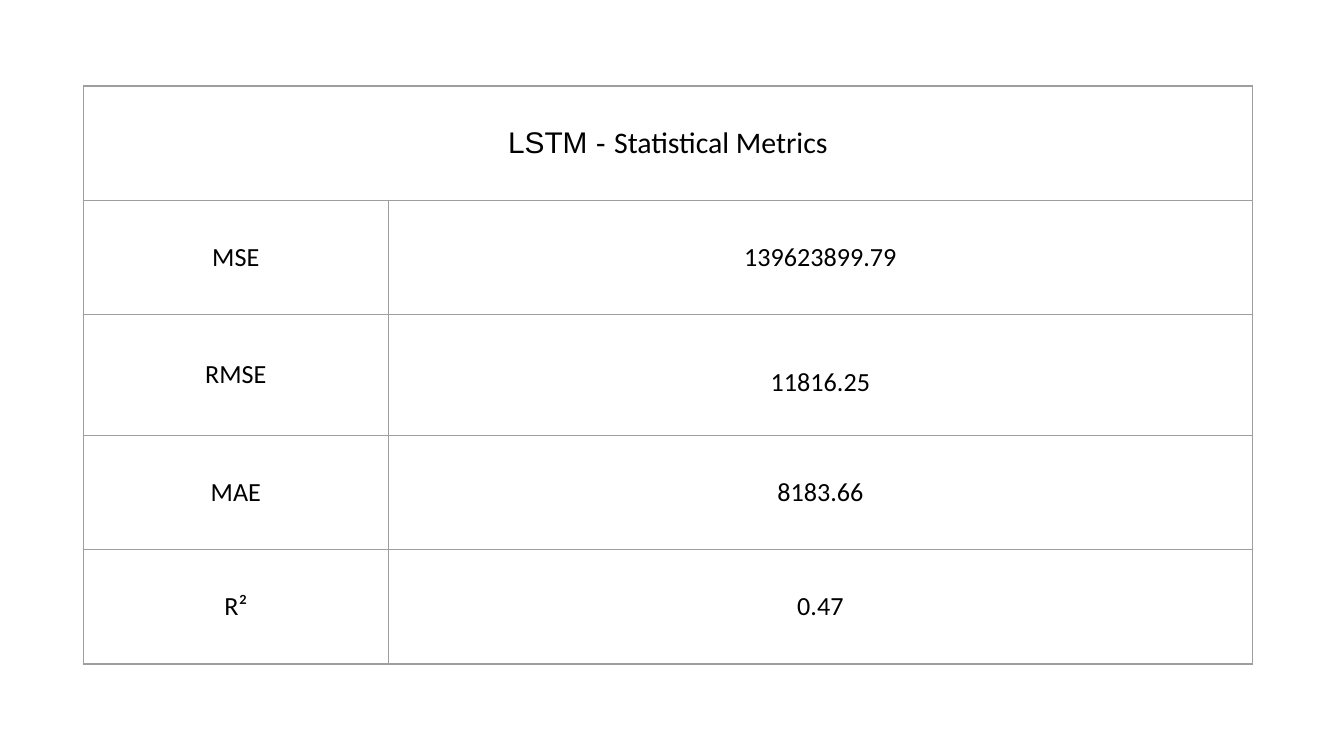
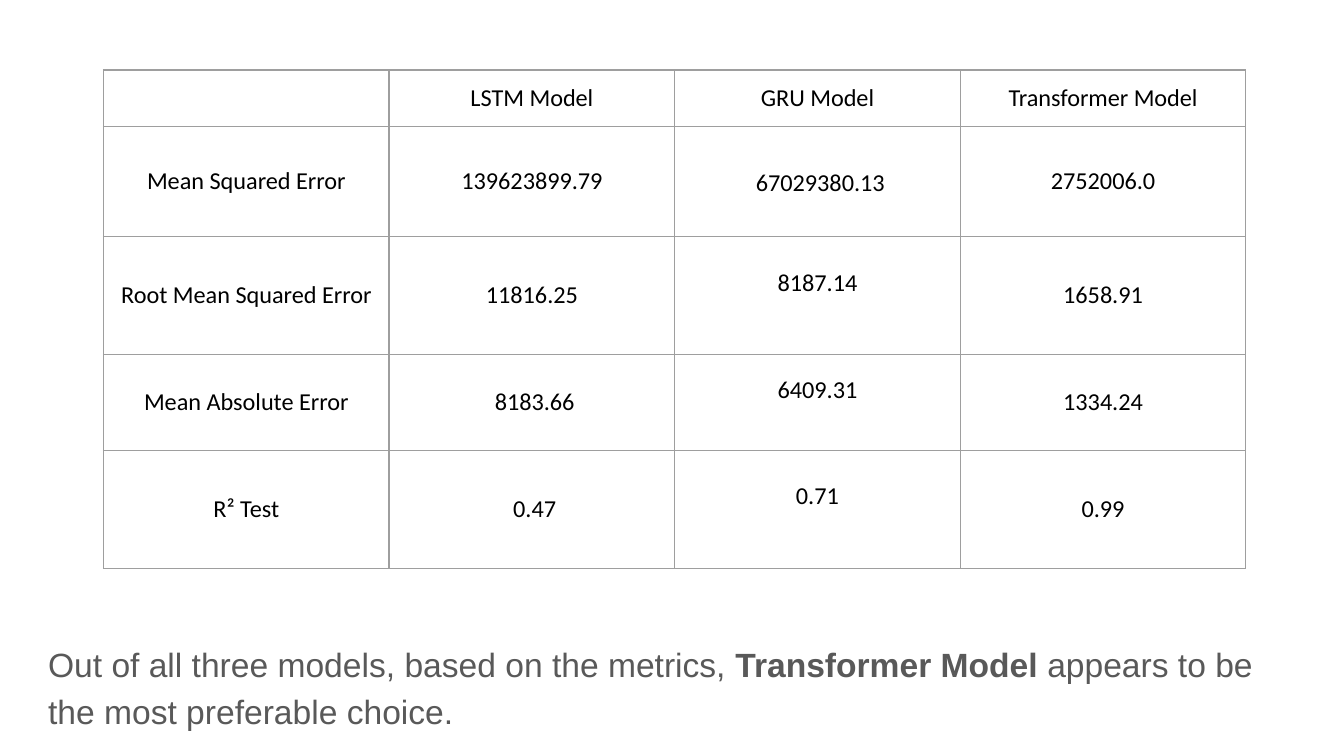
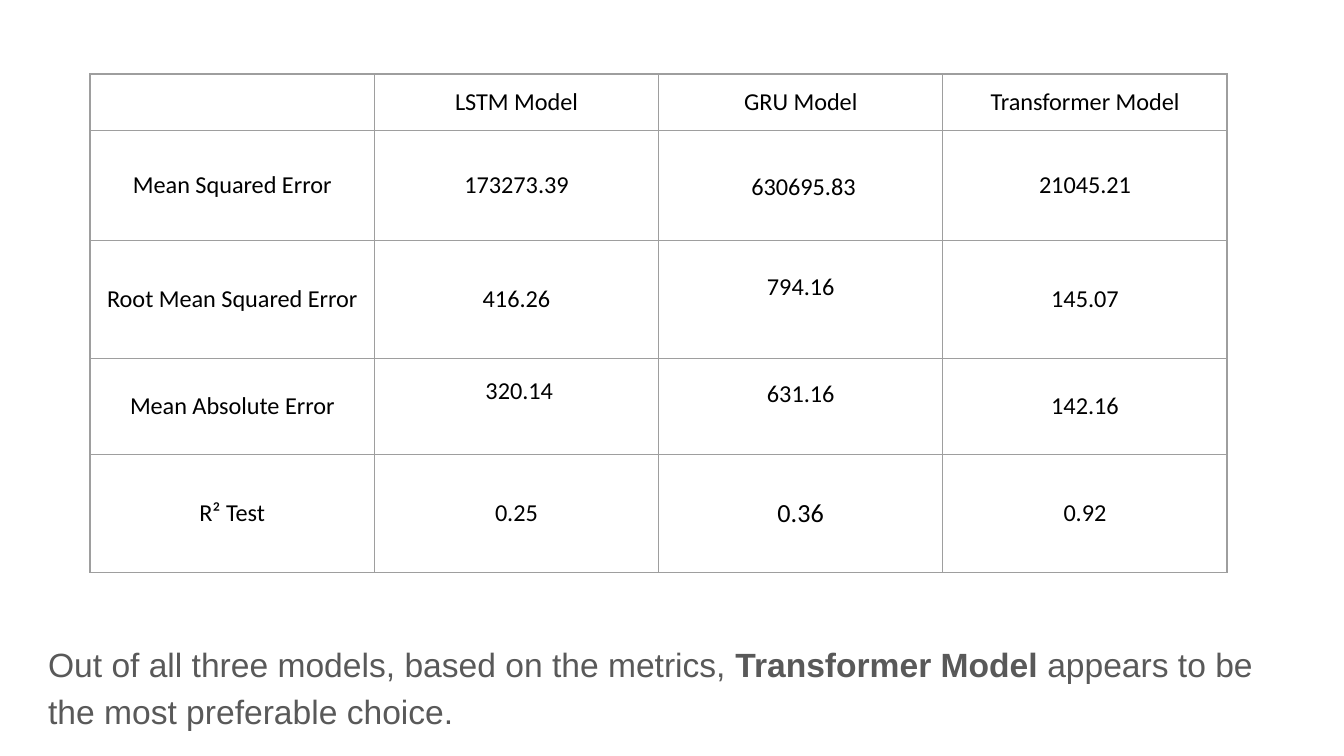
import pptx
import pptx.dml.color
import pptx.enum.text
import pptx.oxml
import pptx.oxml.ns
import pptx.util

Inches = pptx.util.Inches
Pt = pptx.util.Pt
RGBColor = pptx.dml.color.RGBColor

BLACK = RGBColor(0x00, 0x00, 0x00)
GREY = RGBColor(0x59, 0x59, 0x59)
WHITE = RGBColor(0xFF, 0xFF, 0xFF)
RULE = RGBColor(0x9E, 0x9E, 0x9E)

PAD = 0.1
LIFT = 0.32  # bottom inset that raises a value above the middle

METRICS = [
    ("LSTM - Statistical Metrics", ""),
    ("MSE", "139623899.79"),
    ("RMSE", "11816.25"),
    ("MAE", "8183.66"),
    ("R²", "0.47"),
]
HEAD = ("", "LSTM Model", "GRU Model", "Transformer Model")
FIRST = [
    HEAD,
    ("Mean Squared Error", "139623899.79", " 67029380.13", "2752006.0"),
    ("Root Mean Squared Error", "11816.25", "8187.14", "1658.91"),
    ("Mean Absolute Error", " 8183.66", "6409.31", "1334.24"),
    ("R² Test", " 0.47", "0.71", "0.99"),
]
SECOND = [
    HEAD,
    ("Mean Squared Error", "173273.39", " 630695.83", "21045.21"),
    ("Root Mean Squared Error", "416.26", "794.16", "145.07"),
    ("Mean Absolute Error", " 320.14", "631.16", "142.16"),
    ("R² Test", "0.25", "0.36", "0.92"),
]
CLOSING = [
    ("Out of all three models, based on the metrics, ", False),
    ("Transformer Model ", True),
    ("appears to be the most preferable choice.", False),
]


def style(run, size, color, font):
    run.font.size = Pt(size)
    run.font.color.rgb = color
    run.font.name = font


def inset(frame, size):
    """Give a cell or a text frame the same margin on all sides."""
    frame.margin_left = frame.margin_right = Inches(size)
    frame.margin_top = frame.margin_bottom = Inches(size)


def border(cell):
    """Draw the four cell edges; they must precede the fill in the XML."""
    props = cell._tc.get_or_add_tcPr()
    for place, tag in enumerate(("lnL", "lnR", "lnT", "lnB")):
        props.insert(place, pptx.oxml.parse_xml(
            f'<a:{tag} {pptx.oxml.ns.nsdecls("a")} w="{Pt(0.75)}">'
            f'<a:solidFill><a:srgbClr val="{RULE}"/></a:solidFill></a:{tag}>'))


def write(cell, text, size):
    inset(cell, PAD)
    cell.vertical_anchor = pptx.enum.text.MSO_ANCHOR.MIDDLE
    cell.text = text
    line = cell.text_frame.paragraphs[0]
    line.alignment = pptx.enum.text.PP_ALIGN.CENTER
    for run in line.runs:
        style(run, size, BLACK, "Calibri")
    return line


def add_grid(slide, left, top, widths, heights, rows, size):
    frame = slide.shapes.add_table(
        len(heights), len(widths), Inches(left), Inches(top),
        Inches(sum(widths)), Inches(sum(heights)))
    table = frame.table
    table.first_row = table.horz_banding = False
    for column, width in zip(table.columns, widths):
        column.width = Inches(width)
    for row, height, texts in zip(table.rows, heights, rows):
        row.height = Inches(height)
        for cell, text in zip(row.cells, texts):
            cell.fill.background()
            border(cell)
            if text:
                write(cell, text, size)
    return table


def add_closing(slide, left, top, width, height):
    box = slide.shapes.add_textbox(
        Inches(left), Inches(top), Inches(width), Inches(height))
    frame = box.text_frame
    frame.word_wrap = True
    inset(frame, PAD)
    line = frame.paragraphs[0]
    line.line_spacing = 1.15
    line.space_after = Pt(12)
    for text, bold in CLOSING:
        run = line.add_run()
        run.text = text
        run.font.bold = bold
        style(run, 18, GREY, "Arial")


def add_page(deck):
    slide = deck.slides.add_slide(deck.slide_layouts[6])
    slide.background.fill.solid()
    slide.background.fill.fore_color.rgb = WHITE
    return slide


def build_single(deck):
    """One model: a merged heading above its metrics."""
    table = add_grid(add_page(deck), 0.62, 0.64, [2.27, 6.43],
                     [0.85, 0.85, 0.9, 0.85, 0.85], METRICS, 14)
    title = table.cell(0, 0)
    title.merge(table.cell(0, 1))
    line = write(title, "LSTM - ", 16)
    line.runs[0].font.name = "Arial"
    run = line.add_run()
    run.text = "Statistical Metrics"
    style(run, 16, BLACK, "Calibri")
    table.cell(2, 1).text_frame.paragraphs[0].line_spacing = 1.5


def build_compare(deck, left, top, width, rows, loose, raised):
    """Three models side by side; loose and raised list (row, column) cells."""
    slide = add_page(deck)
    add_closing(slide, 0.26, 4.65, 9.32, 3.74)
    count = len(HEAD)
    table = add_grid(slide, left, top, [width / count] * count,
                     [0.42, 0.82, 0.88, 0.71, 0.88], rows, 13)
    for spot in loose:
        table.cell(*spot).text_frame.paragraphs[0].line_spacing = 1.15
    for spot in raised:
        table.cell(*spot).margin_bottom = Inches(LIFT)
    table.cell(1, 2).text_frame.paragraphs[0].space_after = Pt(12)
    return table


def main():
    deck = pptx.Presentation()
    deck.slide_width = Inches(10)
    deck.slide_height = deck.slide_width * 9 // 16
    build_single(deck)
    build_compare(deck, 0.77, 0.52, 8.5, FIRST,
                  loose=[(1, 2), (2, 2), (3, 2), (4, 2)],
                  raised=[(2, 2), (3, 2), (4, 2)])
    table = build_compare(deck, 0.67, 0.55, 8.46, SECOND,
                          loose=[(1, 2), (2, 2), (3, 2)],
                          raised=[(2, 2), (3, 1), (3, 2)])
    write(table.cell(4, 2), "0.36", 14)
    deck.save("out.pptx")


if __name__ == "__main__":
    main()
